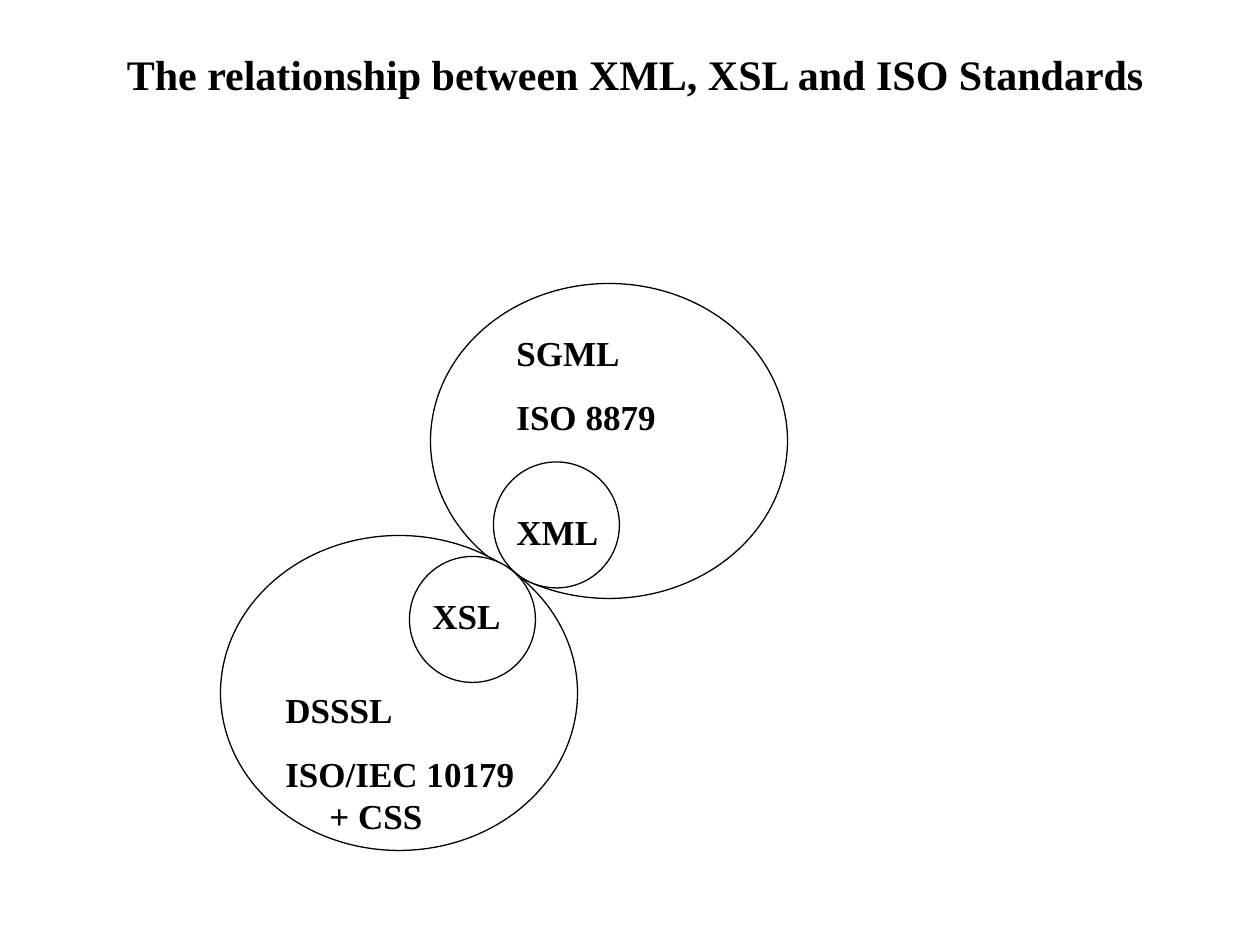
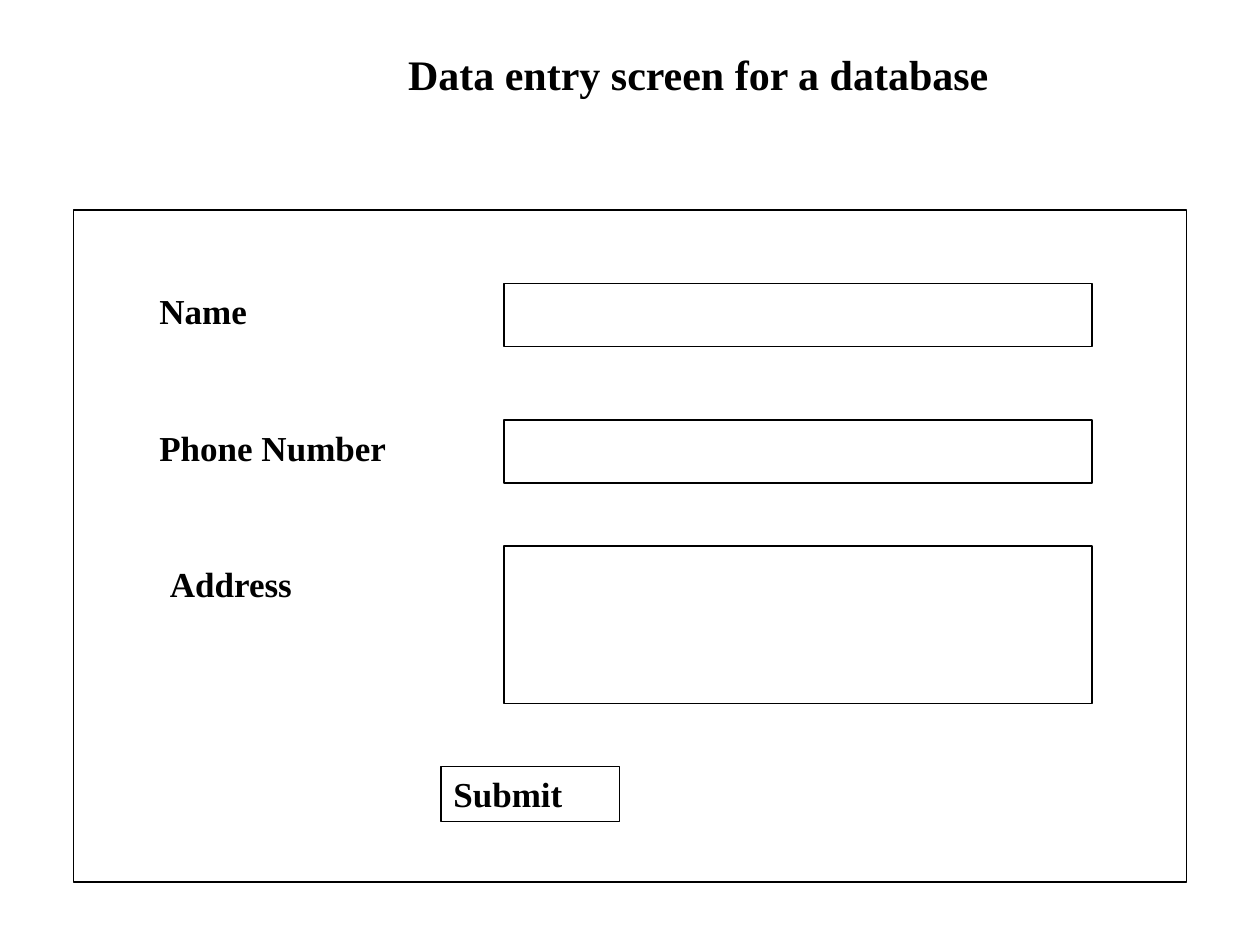
from pptx import Presentation
from pptx.dml.color import RGBColor
from pptx.enum.shapes import MSO_SHAPE
from pptx.enum.text import MSO_ANCHOR, MSO_AUTO_SIZE, PP_ALIGN
from pptx.util import Inches, Pt

OVAL, RECT = MSO_SHAPE.OVAL, MSO_SHAPE.RECTANGLE
TOP, NO_FIT = MSO_ANCHOR.TOP, MSO_AUTO_SIZE.NONE
LEFT, CENTER = PP_ALIGN.LEFT, PP_ALIGN.CENTER
TITLE_ONLY = 5
COLS, ROWS = 120, 90


def rgb(value):
    return RGBColor.from_string(value)


class Deck:
    font, ink, paper = "Times New Roman", "000000", "FFFFFF"
    title_size, body_size = 24, 20
    title_box = (4, 4, 113, 6)

    def __init__(self):
        self.prs = Presentation()
        self.prs.slide_width, self.prs.slide_height = Inches(10), Inches(7.5)
        self.s = None

    def grid(self, left, top, width, height):
        dx, dy = self.prs.slide_width / COLS, self.prs.slide_height / ROWS
        return round(left * dx), round(top * dy), round(width * dx), round(height * dy)

    def slide(self, title, indent=0):
        self.s = self.prs.slides.add_slide(self.prs.slide_layouts[TITLE_ONLY])
        sp = self.s.shapes.title
        sp.left, sp.top, sp.width, sp.height = self.grid(*self.title_box)
        self.set_text(sp, [title], self.title_size, CENTER)
        self.indent(sp.text_frame.paragraphs[0], indent)

    def indent(self, p, inches):
        pPr = p._p.get_or_add_pPr()
        pPr.set("marL", str(Inches(inches)))
        pPr.set("indent", "0")

    def set_text(self, sp, lines, size=body_size, align=LEFT, wrap=True):
        tf = sp.text_frame
        tf.word_wrap, tf.auto_size, tf.vertical_anchor = wrap, NO_FIT, TOP
        tf.text = "\n".join(lines)
        for p in tf.paragraphs:
            p.alignment, p.space_before = align, Pt(size * 0.625)
            p.font.name, p.font.size, p.font.bold = self.font, Pt(size), True
            p.font.color.rgb = rgb(self.ink)

    def text(self, box, *lines, wrap=True):
        sp = self.s.shapes.add_textbox(*self.grid(*box))
        self.set_text(sp, lines, wrap=wrap)
        return sp.text_frame

    def shape(self, kind, box, label=None):
        sp = self.s.shapes.add_shape(kind, *self.grid(*box))
        sp.shadow.inherit = False
        sp.fill.solid()
        sp.fill.fore_color.rgb = rgb(self.paper)
        sp.line.color.rgb = rgb(self.ink)
        sp.line.width = Pt(0.75)
        if label:
            self.set_text(sp, [label])


def standards(deck):
    deck.slide("The relationship between XML, XSL and ISO Standards")
    for left, top in ((41, 27), (21, 51)):
        deck.shape(OVAL, (left, top, 34, 30))
    for left, top in ((47, 44), (39, 53)):
        deck.shape(OVAL, (left, top, 12, 12))
    deck.text((48, 31, 20, 11.25), "SGML", "ISO 8879")
    tf = deck.text((26, 65, 25, 15.4), "DSSSL", "ISO/IEC 10179", "+ CSS")
    css = tf.paragraphs[-1]
    css.space_before = Pt(0)
    deck.indent(css, 0.35)
    deck.text((48, 48, 10.2, 5.25), "XML", wrap=False)
    deck.text((40, 56, 9, 5.25), "XSL", wrap=False)


def entry_form(deck):
    deck.slide("Data entry screen for a database", indent=1)
    deck.shape(RECT, (7, 20, 106, 64))
    fields = (
        ("Name", 14, 27, 27, 6),
        ("Phone Number", 14, 40, 40, 6),
        ("Address", 15, 53, 52, 15),
    )
    for label, left, label_top, field_top, height in fields:
        deck.text((left, label_top, 31, 5.25), label)
        deck.shape(RECT, (48, field_top, 56, height))
    deck.shape(RECT, (42, 73, 17, 5.25), "Submit")


def main():
    deck = Deck()
    standards(deck)
    entry_form(deck)
    deck.prs.save("out.pptx")


if __name__ == "__main__":
    main()
